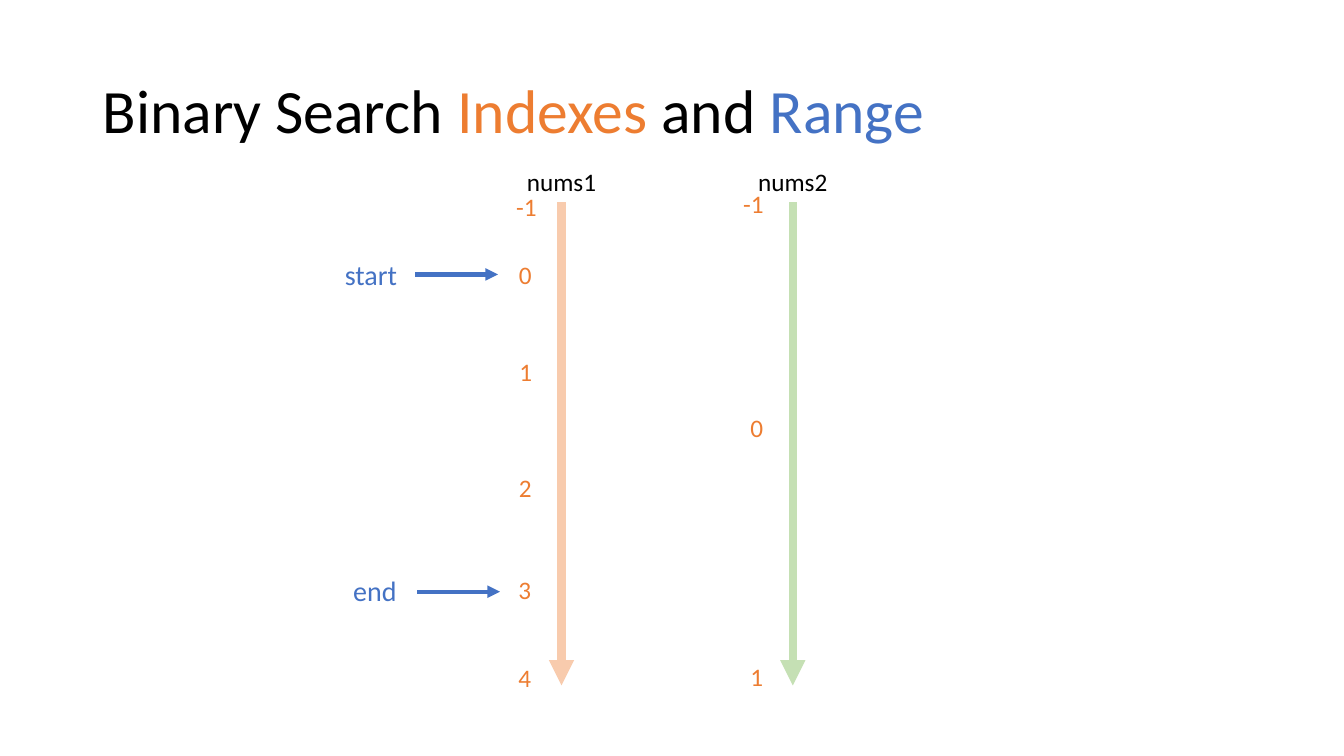
"""Build a slide on binary search indexes and range."""
from lxml import etree
from pptx import Presentation
from pptx.dml.color import RGBColor
from pptx.enum.shapes import MSO_CONNECTOR
from pptx.enum.text import MSO_ANCHOR, PP_ALIGN
from pptx.oxml.ns import qn
from pptx.util import Inches, Pt

WIDE, HIGH = Inches(13.33), Inches(7.5)
COL, ROW = WIDE / 100, HIGH / 100
LINE = MSO_CONNECTOR.STRAIGHT
LEFT, MID = PP_ALIGN.LEFT, PP_ALIGN.CENTER
TOP, CENTER = MSO_ANCHOR.TOP, MSO_ANCHOR.MIDDLE
FONT = "Calibri"
BLACK = RGBColor(0x00, 0x00, 0x00)
ORANGE = RGBColor(0xED, 0x7D, 0x31)
BLUE = RGBColor(0x44, 0x72, 0xC4)
PEACH = RGBColor(0xF8, 0xCB, 0xAD)
GREEN = RGBColor(0xC5, 0xE0, 0xB4)

AXES = [
    ("nums1", 41.78, PEACH, [
        ("-1", 2.62, 24.67), ("0", 2.7, 33.6), ("1", 2.65, 46.53),
        ("2", 2.7, 61.8), ("3", 2.74, 75.33), ("4", 2.74, 86.93)]),
    ("nums2", 58.99, GREEN, [
        ("-1", 2.93, 24.27), ("0", 2.68, 53.87), ("1", 2.68, 86.8)]),
]
MARKS = [
    ("start", 27.6, 33.47, 30.9, 36.3),
    ("end", 27.9, 75.2, 31.05, 78.27),
]


def write(slide, runs, x, y, w, h, size=18, align=MID, anchor=TOP,
          wrap=False, space=1.0):
    """Add a text box of coloured runs, placed in columns and rows."""
    box = slide.shapes.add_textbox(
        round(x * COL), round(y * ROW), round(w * COL), round(h * ROW))
    frame = box.text_frame
    frame.word_wrap = wrap
    frame.vertical_anchor = anchor
    para = frame.paragraphs[0]
    para.alignment = align
    para.line_spacing = space
    for text, color in runs:
        run = para.add_run()
        run.text = text
        run.font.name = FONT
        run.font.size = Pt(size)
        run.font.color.rgb = color


def label(slide, text, x, y, color, size=18, w=6.75, h=5.33):
    """Add a short text centred on column x."""
    write(slide, [(text, color)], x - w / 2, y, w, h, size=size)


def arrow(slide, x1, y1, x2, y2, color, width):
    """Add a straight arrow with a triangle head."""
    link = slide.shapes.add_connector(
        LINE, round(x1 * COL), round(y1 * ROW),
        round(x2 * COL), round(y2 * ROW))
    link.line.color.rgb = color
    link.line.width = Pt(width)
    etree.SubElement(link.line._get_or_add_ln(), qn("a:tailEnd"),
                     type="triangle")
    etree.SubElement(link._element.spPr, qn("a:effectLst"))


def axis(slide, name, x, color, ticks):
    """Add a downward axis with its name and index labels."""
    arrow(slide, x, 26.75, x, 90.67, color, 6)
    label(slide, name, x, 21.33, BLACK)
    for text, gap, y in ticks:
        label(slide, text, x - gap, y, ORANGE, w=4)


def mark(slide, text, x, y, tail, level):
    """Add a named pointer to an index."""
    arrow(slide, tail, level, tail + 6.15, level, BLUE, 3)
    label(slide, text, x, y, BLUE, size=20, w=6, h=5.87)


def main():
    """Build and save the slide."""
    deck = Presentation()
    deck.slide_width, deck.slide_height = WIDE, HIGH
    slide = deck.slides.add_slide(deck.slide_layouts[6])
    title = [("Binary Search ", BLACK), ("Indexes ", ORANGE),
             ("and ", BLACK), ("Range", BLUE)]
    write(slide, title, 6.9, 5.33, 86.25, 19.33, size=44, align=LEFT,
          anchor=CENTER, wrap=True, space=0.9)
    for item in AXES:
        axis(slide, *item)
    for item in MARKS:
        mark(slide, *item)
    deck.save("out.pptx")


if __name__ == "__main__":
    main()
